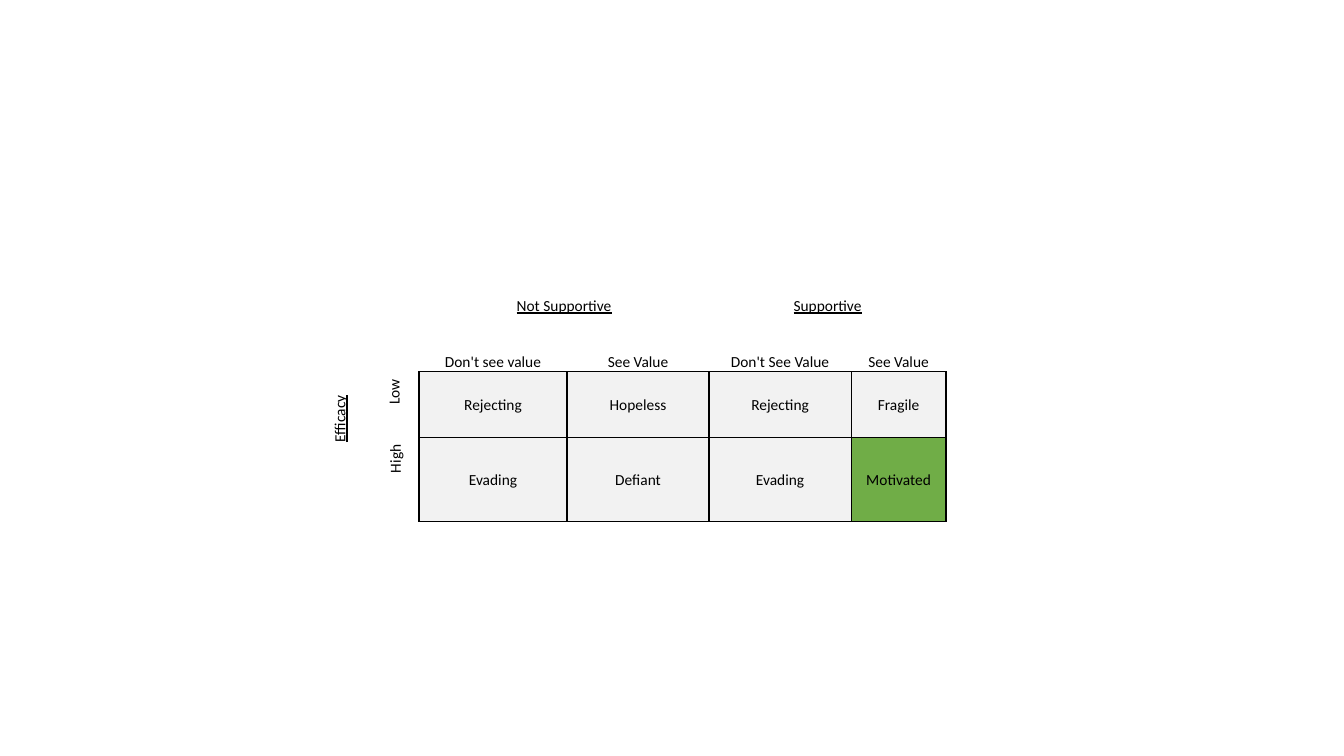
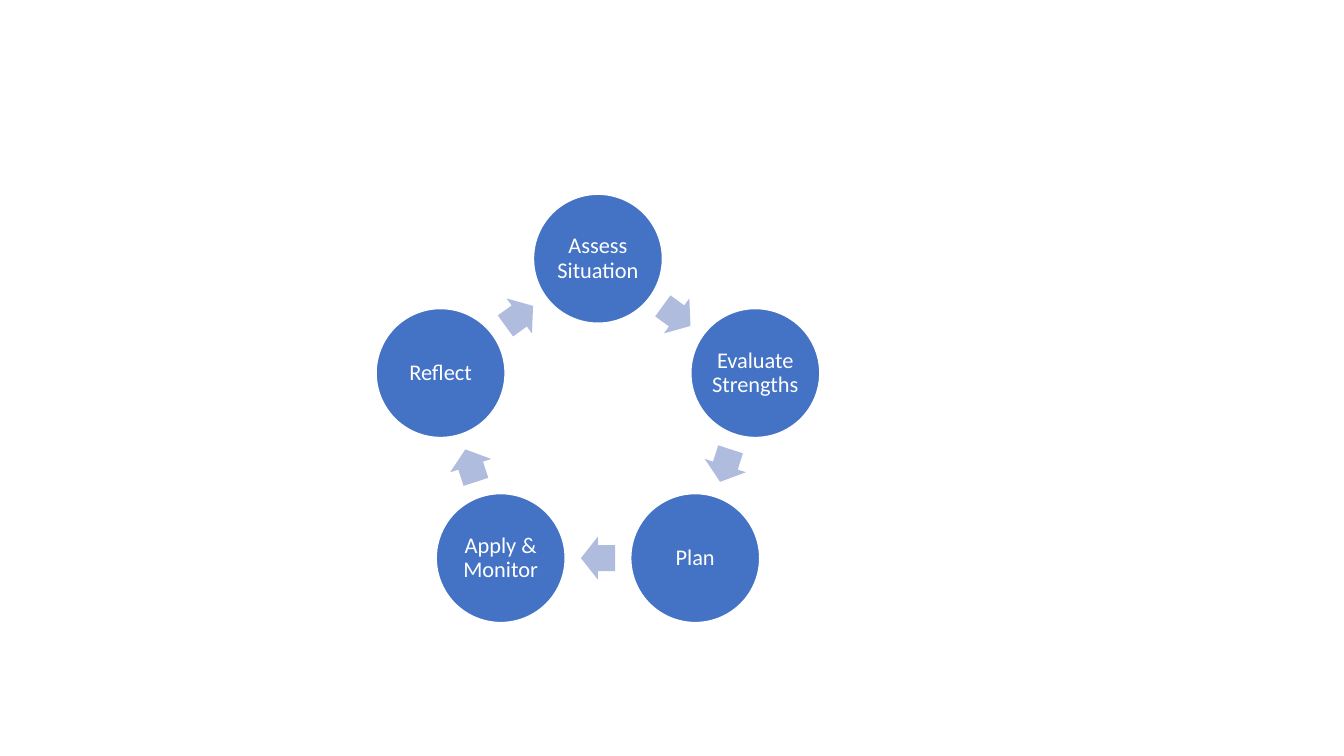
import math
from dataclasses import dataclass

from pptx import Presentation
from pptx import util as u
from pptx.dml.color import RGBColor
from pptx.enum import shapes, text
from pptx.oxml.ns import qn
from pptx.oxml.xmlchemy import OxmlElement

COLOURS = {
    "ink": "000000",
    "paper": "FFFFFF",
    "cell": "F2F2F2",
    "goal": "70AD47",
    "step": "4472C4",
    "arrow": "B0BCDE",
}
FONT = "Calibri"
BLANK_LAYOUT = 6
NO_TABLE_STYLE = "{2D5ABB26-0587-4C30-8999-92F81FD0307C}"

CELL_SIZE = 11
COLUMN_WIDTHS = [1.37, 0.86, 3.73, 3.58, 3.58, 2.39]
ROW_HEIGHTS = [0.76, 1.42, 1.65, 2.13]
FIRST_BODY_ROW = FIRST_BODY_COLUMN = 2
SUPPORT_COLUMN = 4

STEPS = ["Assess Situation", "Evaluate Strengths", "Plan", "Apply & Monitor", "Reflect"]
CYCLE_X, CYCLE_Y, CYCLE_RADIUS = 15.07, 10.69, 4.17
STEP_DIAMETER = 3.25
ARROW_WIDTH, ARROW_HEIGHT = 0.86, 1.09


@dataclass
class Entry:
    row: int
    column: int
    words: str
    fill: str = ""
    rows: int = 1
    columns: int = 1
    upright: bool = False
    underline: bool = False
    align: text.PP_ALIGN = text.PP_ALIGN.CENTER
    anchor: text.MSO_ANCHOR = text.MSO_ANCHOR.BOTTOM
    spacing: float = 1.06


def matrix_entries() -> list[Entry]:
    middle = text.MSO_ANCHOR.MIDDLE
    right = text.PP_ALIGN.RIGHT
    entries = [
        Entry(0, 2, "Not Supportive", columns=2, underline=True),
        Entry(0, 4, "Supportive", columns=2, underline=True),
        Entry(1, 0, "Efficacy", rows=3, upright=True, underline=True,
              anchor=middle, spacing=1.0),
        Entry(2, 1, "Low", upright=True, align=right, spacing=1.0),
        Entry(3, 1, "High", upright=True, align=right),
    ]
    headings = ["Don't see value", "See Value", "Don't See Value", "See Value"]
    entries += [Entry(1, column, words)
                for column, words in enumerate(headings, FIRST_BODY_COLUMN)]
    body = [["Rejecting", "Hopeless", "Rejecting", "Fragile"],
            ["Evading", "Defiant", "Evading", "Motivated"]]
    for row, line in enumerate(body, FIRST_BODY_ROW):
        for column, words in enumerate(line, FIRST_BODY_COLUMN):
            fill = "goal" if words == "Motivated" else "cell"
            entries.append(Entry(row, column, words, fill, anchor=middle))
    return entries


def paint(target, colour: str) -> None:
    target.fill.solid()
    target.fill.fore_color.rgb = RGBColor.from_string(COLOURS[colour])


def write(para, words: str, size: float, colour: str, spacing: float,
          align=text.PP_ALIGN.CENTER, underline: bool = False) -> None:
    para.alignment = align
    para.line_spacing = spacing
    span = para.add_run()
    span.text = words
    span.font.name = FONT
    span.font.size = u.Pt(size)
    span.font.underline = underline
    span.font.color.rgb = RGBColor.from_string(COLOURS[colour])


def cell_edges(row: int, column: int) -> dict[str, float]:
    in_rows = row >= FIRST_BODY_ROW
    in_columns = column >= FIRST_BODY_COLUMN
    edges = {}
    if in_rows and in_columns:
        edges["a:lnL"] = 1.5 if column == SUPPORT_COLUMN else 1
    if in_rows and column >= FIRST_BODY_COLUMN - 1:
        edges["a:lnR"] = 1.5 if column == SUPPORT_COLUMN - 1 else 1
    if in_rows and in_columns:
        edges["a:lnT"] = 1
    if in_columns and row >= FIRST_BODY_ROW - 1:
        edges["a:lnB"] = 1
    return edges


def draw_edges(cell, edges: dict[str, float]) -> None:
    properties = cell._tc.get_or_add_tcPr()
    for position, (tag, width) in enumerate(edges.items()):
        line = OxmlElement(tag)
        line.set("w", str(u.Pt(width)))
        fill = OxmlElement("a:solidFill")
        colour = OxmlElement("a:srgbClr")
        colour.set("val", COLOURS["ink"])
        fill.append(colour)
        line.append(fill)
        properties.insert(position, line)


def prepare_cell(cell, row: int, column: int) -> None:
    cell.margin_left = cell.margin_right = u.Cm(0.18)
    cell.margin_top = cell.margin_bottom = 0
    cell.fill.background()
    draw_edges(cell, cell_edges(row, column))
    ending = OxmlElement("a:endParaRPr")
    ending.set("sz", str(CELL_SIZE * 100))
    cell.text_frame.paragraphs[0]._p.append(ending)


def fill_cell(table, entry: Entry) -> None:
    cell = table.cell(entry.row, entry.column)
    if entry.rows * entry.columns > 1:
        cell.merge(table.cell(entry.row + entry.rows - 1,
                              entry.column + entry.columns - 1))
    cell.vertical_anchor = entry.anchor
    if entry.fill:
        paint(cell, entry.fill)
    if entry.upright:
        cell._tc.get_or_add_tcPr().set("vert", "vert270")
    write(cell.text_frame.paragraphs[0], entry.words, CELL_SIZE, "ink",
          entry.spacing, entry.align, entry.underline)


def add_matrix(page) -> None:
    frame = page.shapes.add_table(
        len(ROW_HEIGHTS), len(COLUMN_WIDTHS), u.Cm(8.33), u.Cm(7.19),
        u.Cm(sum(COLUMN_WIDTHS)), u.Cm(sum(ROW_HEIGHTS)))
    table = frame.table
    table.first_row = table.horz_banding = False
    table._tbl.tblPr.find(qn("a:tableStyleId")).text = NO_TABLE_STYLE
    for column, width in zip(table.columns, COLUMN_WIDTHS):
        column.width = u.Cm(width)
    for row, height in zip(table.rows, ROW_HEIGHTS):
        row.height = u.Cm(height)
    for row in range(len(ROW_HEIGHTS)):
        for column in range(len(COLUMN_WIDTHS)):
            prepare_cell(table.cell(row, column), row, column)
    for entry in matrix_entries():
        fill_cell(table, entry)


def add_centred(page, kind, angle: float, radius: float,
                width: float, height: float, colour: str):
    x = CYCLE_X + radius * math.sin(math.radians(angle))
    y = CYCLE_Y - radius * math.cos(math.radians(angle))
    shape = page.shapes.add_shape(kind, u.Cm(x - width / 2), u.Cm(y - height / 2),
                                  u.Cm(width), u.Cm(height))
    shape.shadow.inherit = False
    paint(shape, colour)
    return shape


def add_step(page, words: str, angle: float) -> None:
    circle = add_centred(page, shapes.MSO_SHAPE.OVAL, angle, CYCLE_RADIUS,
                         STEP_DIAMETER, STEP_DIAMETER, "step")
    circle.line.color.rgb = RGBColor.from_string(COLOURS["paper"])
    circle.line.width = u.Pt(1)
    box = circle.text_frame
    box.word_wrap = True
    box.vertical_anchor = text.MSO_ANCHOR.MIDDLE
    box.margin_left = box.margin_right = u.Cm(0.05)
    box.margin_top = box.margin_bottom = u.Cm(0.05)
    write(box.paragraphs[0], words, 16, "paper", 0.9)


def add_arrow(page, angle: float, radius: float) -> None:
    arrow = add_centred(page, shapes.MSO_SHAPE.RIGHT_ARROW, angle, radius,
                        ARROW_WIDTH, ARROW_HEIGHT, "arrow")
    arrow.line.fill.background()
    arrow.adjustments[0] = 0.6
    arrow.adjustments[1] = 0.5
    arrow.rotation = angle


def add_cycle(page) -> None:
    turn = 360 / len(STEPS)
    arrow_radius = CYCLE_RADIUS * math.cos(math.radians(turn / 2))
    for index, words in enumerate(STEPS):
        add_step(page, words, index * turn)
        add_arrow(page, (index + 0.5) * turn, arrow_radius)


def main() -> None:
    deck = Presentation()
    deck.slide_width, deck.slide_height = u.Cm(33.87), u.Cm(19.05)
    for draw in (add_matrix, add_cycle):
        draw(deck.slides.add_slide(deck.slide_layouts[BLANK_LAYOUT]))
    deck.save("out.pptx")


main()
